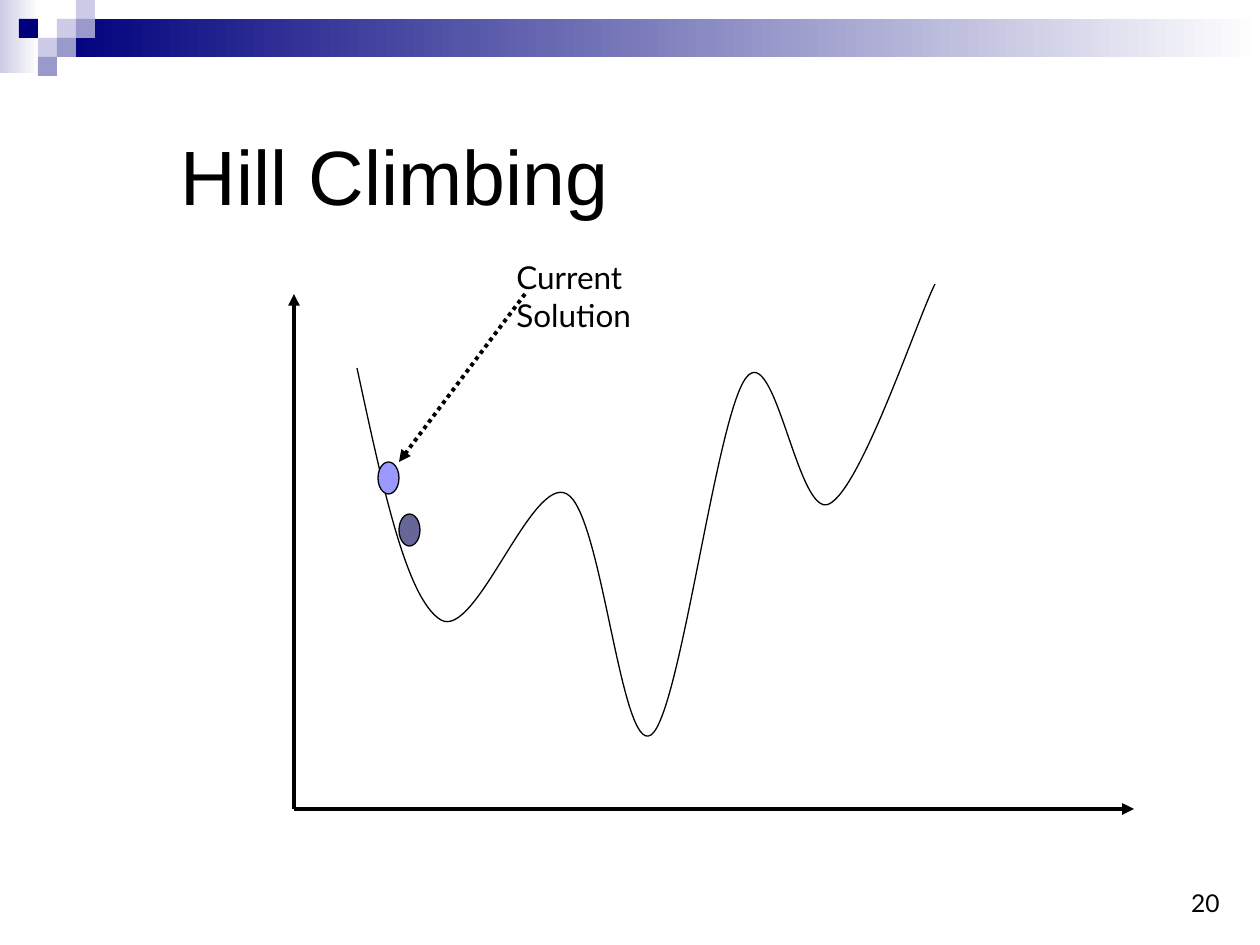
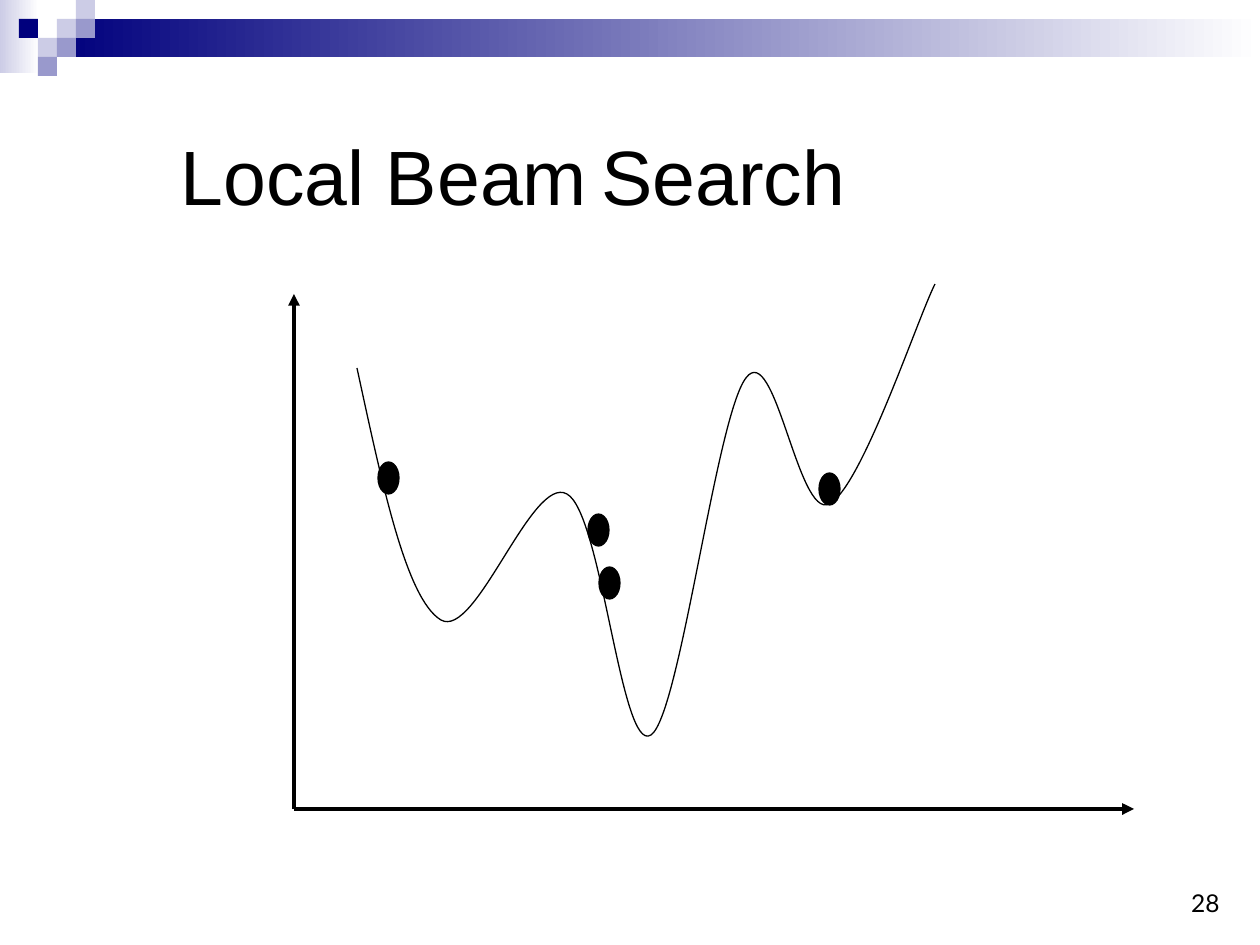
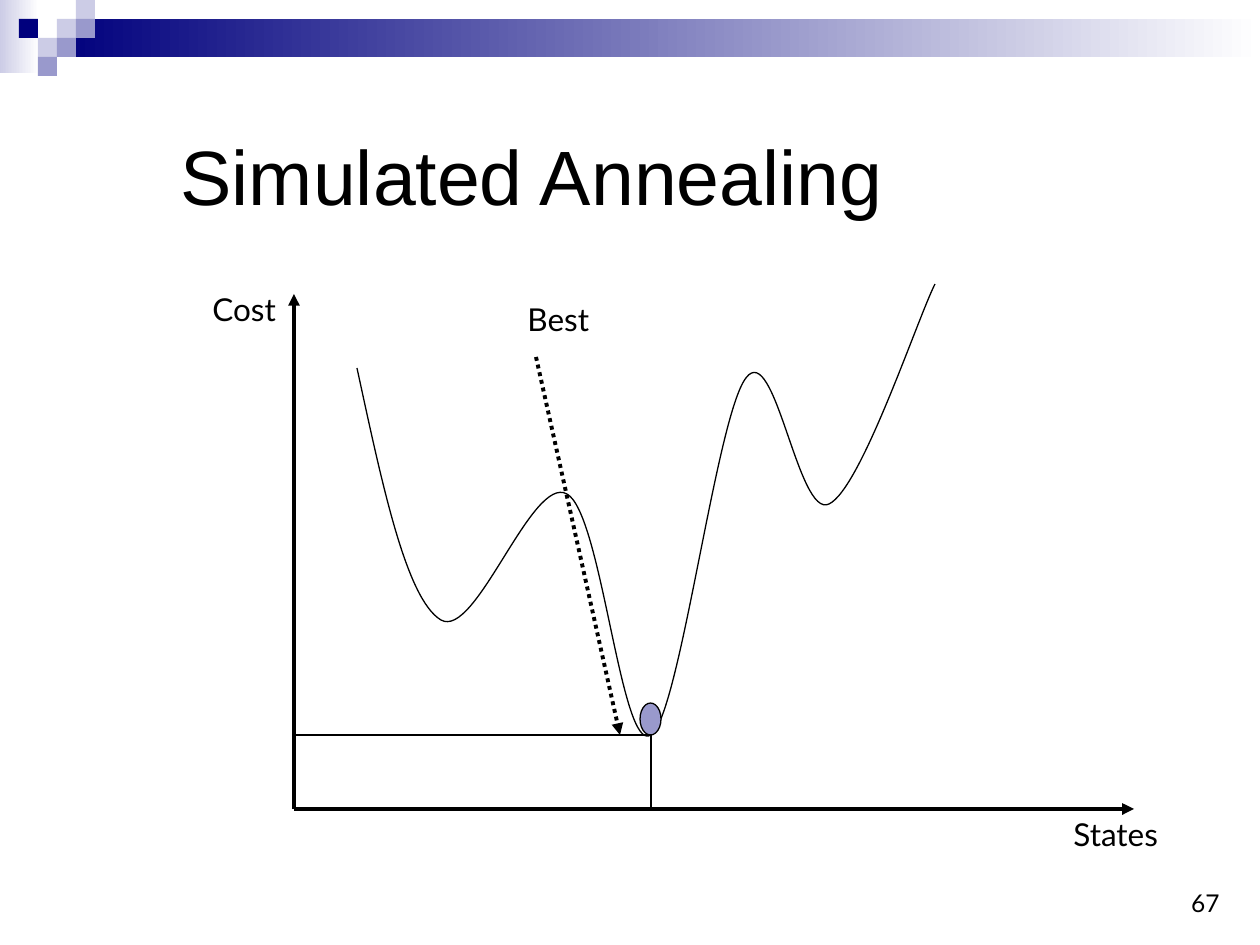
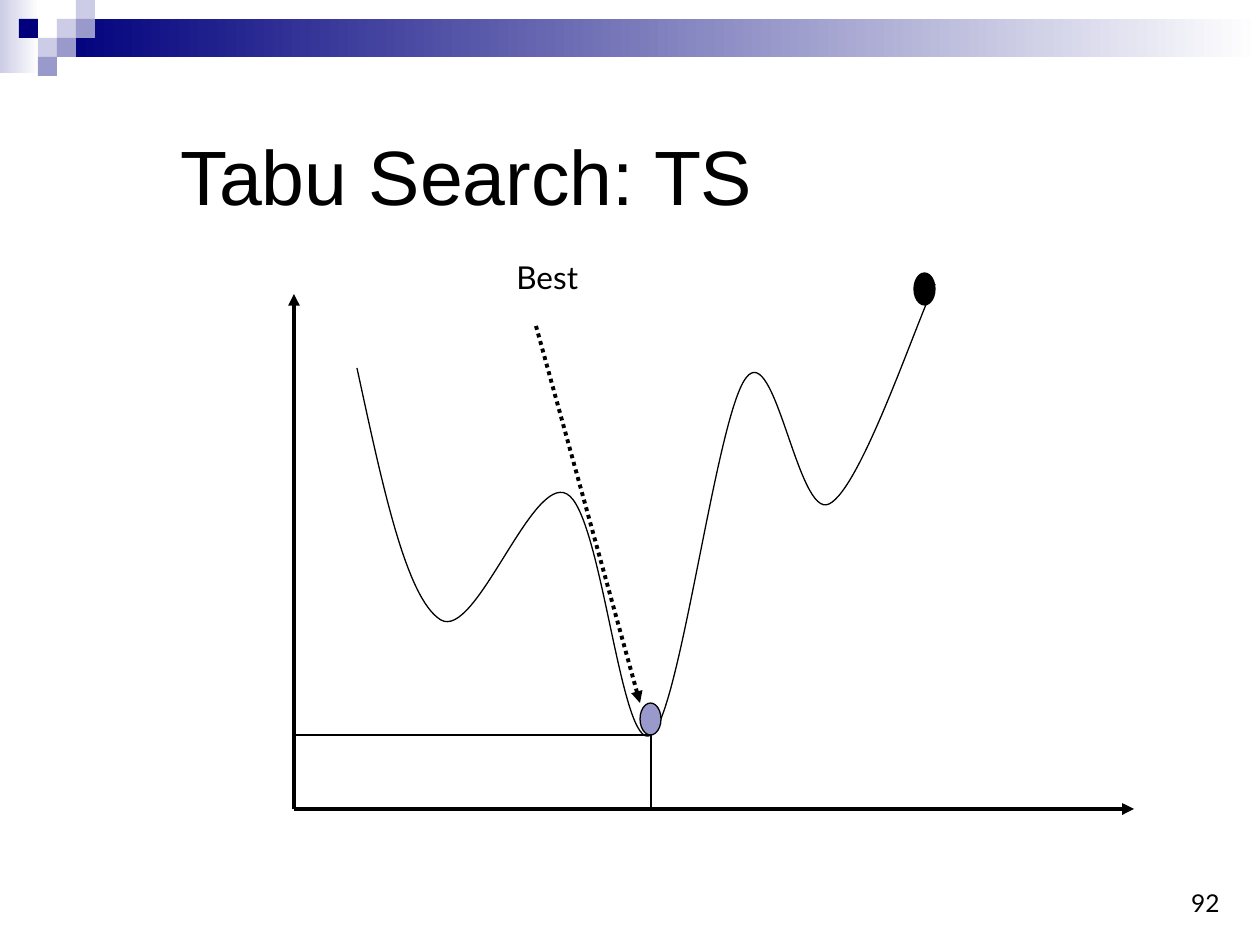
from lxml.etree import SubElement
from pptx import Presentation
from pptx.dml.color import RGBColor
from pptx.enum.dml import MSO_LINE
from pptx.enum.shapes import MSO_CONNECTOR, MSO_SHAPE
from pptx.enum.text import MSO_ANCHOR, MSO_AUTO_SIZE, PP_ALIGN
from pptx.oxml.ns import qn
from pptx.util import Pt

SCALE = 914400 / 126
SLIDE_SIZE = (1260, 945)
BLACK, WHITE = "000000", "FFFFFF"
NAVY, PALE, LAVENDER = "00007D", "CCCCE6", "9999CC"
TITLE_FONT, LABEL_FONT = "Arial", "Lato"

TITLE_BOX = (168, 118, 1074, 113)
NUMBER_BOX = (970, 861, 262, 63)
BANDS = [((0, 0, 39, 73), PALE), ((57, 19, 1203, 38), NAVY)]
CELL = 19
CELLS = [(3, 1, PALE), (4, 0, PALE), (4, 1, LAVENDER), (2, 2, PALE),
         (1, 1, NAVY), (3, 2, LAVENDER), (2, 3, LAVENDER)]

ORIGIN = (294, 809)
AXIS_TIPS = [(294, 294), (1134, 809)]
CURVE_START = (357, 368)
CURVE_CONTROLS = [
    (382, 483), (406, 599), (441, 620),
    (476, 640), (532, 474), (567, 494),
    (602, 513), (621, 755), (651, 735),
    (680, 716), (716, 417), (746, 378),
    (775, 339), (798, 519), (829, 504),
    (861, 489), (917, 320), (935, 284),
]
BALL_SIZE = (21, 32)
MINIMUM = (651, 735)
BEST_BALL = (640, 703, LAVENDER)

SLIDES = [
    {"title": ["Hill Climbing"], "number": "20",
     "balls": [(399, 514, "666699"), (378, 462, "9999FF")],
     "pointer": [(525, 294), (399, 462)],
     "labels": [("Current Solution", (504, 252, 147, 88))]},
    {"title": ["Local Beam", " ", "Search"], "number": "28",
     "balls": [(588, 514, BLACK), (378, 462, BLACK),
               (599, 567, BLACK), (819, 473, BLACK)]},
    {"title": ["Simulated Annealing"], "number": "67",
     "balls": [BEST_BALL], "guides": True,
     "pointer": [(536, 357), (620, 735)],
     "labels": [("Cost", (200, 284, 136, 50)),
                ("States", (1061, 809, 147, 50)),
                ("Best", (515, 294, 105, 50))]},
    {"title": ["Tabu Search: TS"], "number": "92",
     "balls": [(914, 273, BLACK), BEST_BALL], "guides": True,
     "pointer": [(536, 326), (640, 703)],
     "labels": [("Best", (504, 252, 147, 50))]},
]


def emu(*lengths):
    return [round(length * SCALE) for length in lengths]


def rgb(color):
    return RGBColor.from_string(color)


def format_font(font, name, size, color=BLACK):
    font.name = name
    font.size = Pt(size)
    font.color.rgb = rgb(color)


def format_line(line, width):
    line.color.rgb = rgb(BLACK)
    line.width = Pt(width)


def add_block(shapes, kind, box, color):
    shape = shapes.add_shape(kind, *emu(*box))
    shape.shadow.inherit = False
    shape.fill.solid()
    shape.fill.fore_color.rgb = rgb(color)
    shape.line.fill.background()
    return shape


def add_text(slide, text, box, size):
    shape = slide.shapes.add_textbox(*emu(*box))
    frame = shape.text_frame
    frame.text = text
    frame.word_wrap = True
    format_font(frame.paragraphs[0].runs[0].font, LABEL_FONT, size)
    return frame


def add_line(slide, start, end, width, arrow=False, dotted=False):
    connector = slide.shapes.add_connector(
        MSO_CONNECTOR.STRAIGHT, *emu(*start, *end))
    format_line(connector.line, width)
    if dotted:
        connector.line.dash_style = MSO_LINE.ROUND_DOT
    properties = connector.element.spPr
    if arrow:
        SubElement(properties.find(qn("a:ln")), qn("a:tailEnd"), type="triangle")
    SubElement(properties, qn("a:effectLst"))


def decorate_layout(layout, slide):
    group = slide.shapes.add_group_shape()
    for box, color in BANDS:
        band = add_block(group.shapes, MSO_SHAPE.RECTANGLE, box, color)
        band.fill.gradient()
        band.fill.gradient_angle = 0
        for stop, stop_color, position in zip(
                band.fill.gradient_stops, (color, WHITE), (0, 1)):
            stop.color.rgb = rgb(stop_color)
            stop.position = position
    for column, row, color in CELLS:
        box = (column * CELL, row * CELL, CELL, CELL)
        add_block(group.shapes, MSO_SHAPE.RECTANGLE, box, color)
    layout.shapes.element.insert(2, group.element)


def set_title(slide, texts):
    title = slide.shapes.title
    title.left, title.top, title.width, title.height = emu(*TITLE_BOX)
    frame = title.text_frame
    frame.auto_size = MSO_AUTO_SIZE.NONE
    frame.vertical_anchor = MSO_ANCHOR.MIDDLE
    paragraph = frame.paragraphs[0]
    paragraph.alignment = PP_ALIGN.LEFT
    for text in texts:
        run = paragraph.add_run()
        run.text = text
        if text.strip():
            format_font(run.font, TITLE_FONT, 44)
        else:
            format_font(run.font, TITLE_FONT, 28, LAVENDER)
            run.font.italic = True


def add_curve(slide):
    builder = slide.shapes.build_freeform(*CURVE_START, scale=SCALE)
    builder.add_line_segments(CURVE_CONTROLS, close=False)
    curve = builder.convert_to_shape()
    curve.shadow.inherit = False
    curve.fill.background()
    format_line(curve.line, 0.75)
    segments = list(curve.element.iter(qn("a:lnTo")))
    outline = segments[0].getparent()
    for first in range(0, len(segments), 3):
        bezier = SubElement(outline, qn("a:cubicBezTo"))
        for segment in segments[first:first + 3]:
            bezier.append(segment[0])
            outline.remove(segment)


def add_ball(slide, left, top, color):
    ball = add_block(slide.shapes, MSO_SHAPE.OVAL, (left, top, *BALL_SIZE), color)
    format_line(ball.line, 0.75)


def fill_slide(slide, content):
    set_title(slide, content["title"])
    number = add_text(slide, content["number"], NUMBER_BOX, 14)
    number.vertical_anchor = MSO_ANCHOR.BOTTOM
    number.paragraphs[0].alignment = PP_ALIGN.RIGHT
    for tip in AXIS_TIPS:
        add_line(slide, ORIGIN, tip, 2.25, arrow=True)
    add_curve(slide)
    for text, box in content.get("labels", []):
        add_text(slide, text, box, 18)
    if "pointer" in content:
        add_line(slide, *content["pointer"], 2.25, arrow=True, dotted=True)
    for ball in content["balls"]:
        add_ball(slide, *ball)
    if content.get("guides"):
        for end in ((MINIMUM[0], ORIGIN[1]), (ORIGIN[0], MINIMUM[1])):
            add_line(slide, MINIMUM, end, 0.75)


def main():
    presentation = Presentation()
    presentation.slide_width, presentation.slide_height = emu(*SLIDE_SIZE)
    layout = presentation.slide_layouts[5]
    slides = [presentation.slides.add_slide(layout) for _ in SLIDES]
    decorate_layout(layout, slides[0])
    for slide, content in zip(slides, SLIDES):
        fill_slide(slide, content)
    presentation.save("out.pptx")


if __name__ == "__main__":
    main()
